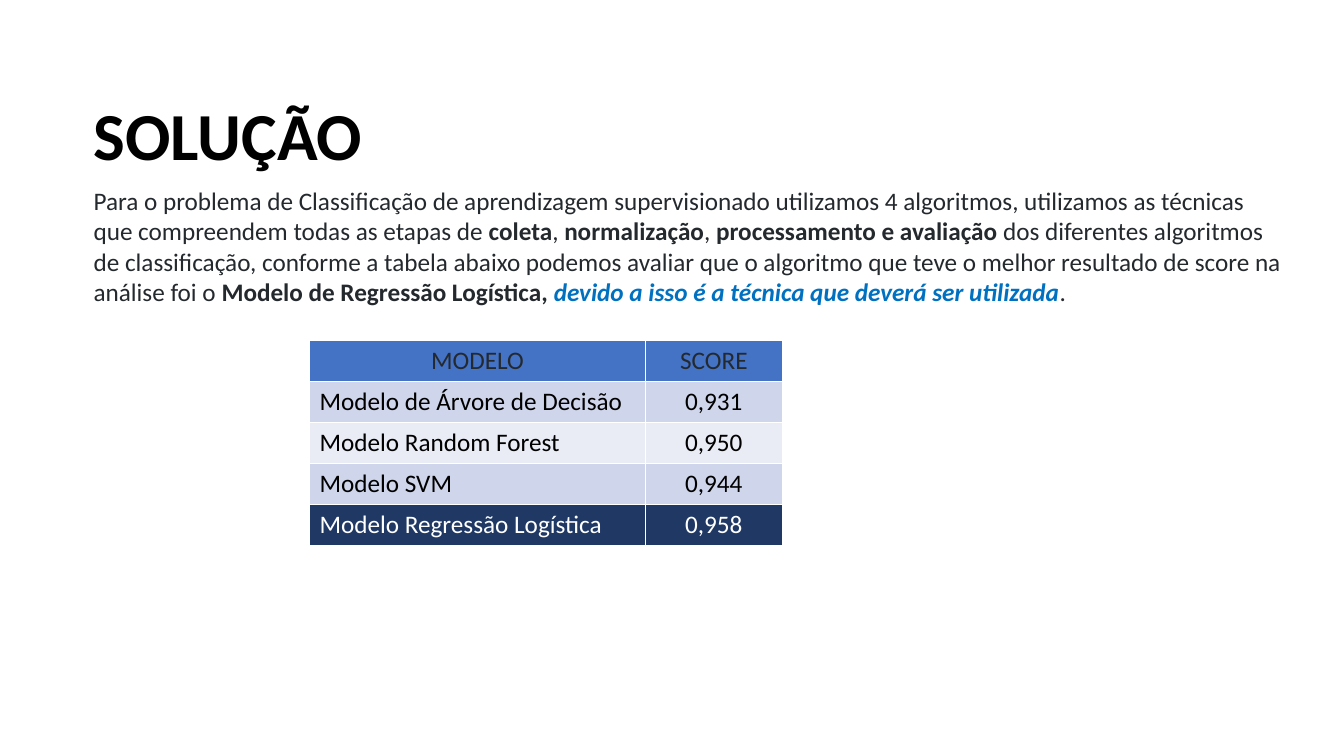
from pptx import Presentation
from pptx.dml.color import RGBColor
from pptx.enum.text import MSO_ANCHOR, MSO_AUTO_SIZE, PP_ALIGN
from pptx.util import Cm, Pt

BLACK = RGBColor(0x00, 0x00, 0x00)
WHITE = RGBColor(0xFF, 0xFF, 0xFF)
INK = RGBColor(0x24, 0x29, 0x2E)
ACCENT = RGBColor(0x00, 0x70, 0xC0)
HEADER_FILL = RGBColor(0x44, 0x72, 0xC4)
ODD_FILL = RGBColor(0xCF, 0xD5, 0xEA)
EVEN_FILL = RGBColor(0xE9, 0xEB, 0xF5)
BEST_FILL = RGBColor(0x20, 0x38, 0x64)

# Text, bold, italic, colour
EXPLANATION = [
    ("Para o problema de Classificação de aprendizagem supervisionado utilizamos 4 "
     "algoritmos, utilizamos as técnicas que compreendem todas as etapas de ",
     False, False, INK),
    ("coleta", True, False, INK),
    (", ", False, False, INK),
    ("normalização", True, False, INK),
    (", ", False, False, INK),
    ("processamento e avaliação ", True, False, INK),
    ("dos diferentes algoritmos de classificação, conforme a tabela abaixo podemos "
     "avaliar que o algoritmo que teve o melhor resultado de score na análise foi o ",
     False, False, INK),
    ("Modelo de Regressão Logística, ", True, False, INK),
    ("devido a isso é a técnica que deverá ser utilizada", True, True, ACCENT),
    (".", False, False, INK),
]

# Model, score, fill, text colour
SCORE_ROWS = [
    ("MODELO", "SCORE", HEADER_FILL, INK),
    ("Modelo de Árvore de Decisão", "0,931", ODD_FILL, BLACK),
    ("Modelo Random Forest", "0,950", EVEN_FILL, BLACK),
    ("Modelo SVM", "0,944", ODD_FILL, BLACK),
    ("Modelo Regressão Logística", "0,958", BEST_FILL, WHITE),
]


def add_run(paragraph, text, size, color, bold=False, italic=False):
    run = paragraph.add_run()
    run.text = text
    run.font.name = "Calibri"
    run.font.size = Pt(size)
    run.font.color.rgb = color
    run.font.bold = bold
    run.font.italic = italic


def place_title(slide, left, top, width, height):
    title = slide.shapes.title
    title.left, title.top, title.width, title.height = left, top, width, height
    frame = title.text_frame
    frame.auto_size = MSO_AUTO_SIZE.NONE
    frame.vertical_anchor = MSO_ANCHOR.TOP
    paragraph = frame.paragraphs[0]
    paragraph.alignment = PP_ALIGN.LEFT
    paragraph.line_spacing = 0.9
    add_run(paragraph, "SOLUÇÃO", 48, BLACK, bold=True)


def add_explanation(slide, left, top, width, height):
    frame = slide.shapes.add_textbox(left, top, width, height).text_frame
    frame.word_wrap = True
    frame.auto_size = MSO_AUTO_SIZE.SHAPE_TO_FIT_TEXT
    for text, bold, italic, color in EXPLANATION:
        add_run(frame.paragraphs[0], text, 18, color, bold, italic)


def add_score_table(slide, left, top, width, height):
    table = slide.shapes.add_table(len(SCORE_ROWS), 2, left, top, width, height).table
    table.columns[0].width = int(width * 0.71)
    table.columns[1].width = width - table.columns[0].width
    for row, (model, score, fill, color) in enumerate(SCORE_ROWS):
        for column, text in enumerate((model, score)):
            cell = table.cell(row, column)
            cell.fill.solid()
            cell.fill.fore_color.rgb = fill
            paragraph = cell.text_frame.paragraphs[0]
            centred = row == 0 or column == 1
            paragraph.alignment = PP_ALIGN.CENTER if centred else PP_ALIGN.LEFT
            add_run(paragraph, text, 18, color)


def main():
    presentation = Presentation()
    presentation.slide_width = Cm(33.87)
    presentation.slide_height = Cm(19.05)
    slide = presentation.slides.add_slide(presentation.slide_layouts[5])
    # Heading and text share the left margin
    margin = Cm(2.11)
    place_title(slide, margin, Cm(2.46), Cm(29.79), Cm(2.95))
    add_explanation(slide, margin, Cm(4.55), Cm(30.63), Cm(3.33))
    # Model scores
    add_score_table(slide, Cm(7.8), Cm(8.59), Cm(11.92), Cm(5.15))
    presentation.save("out.pptx")


if __name__ == "__main__":
    main()
